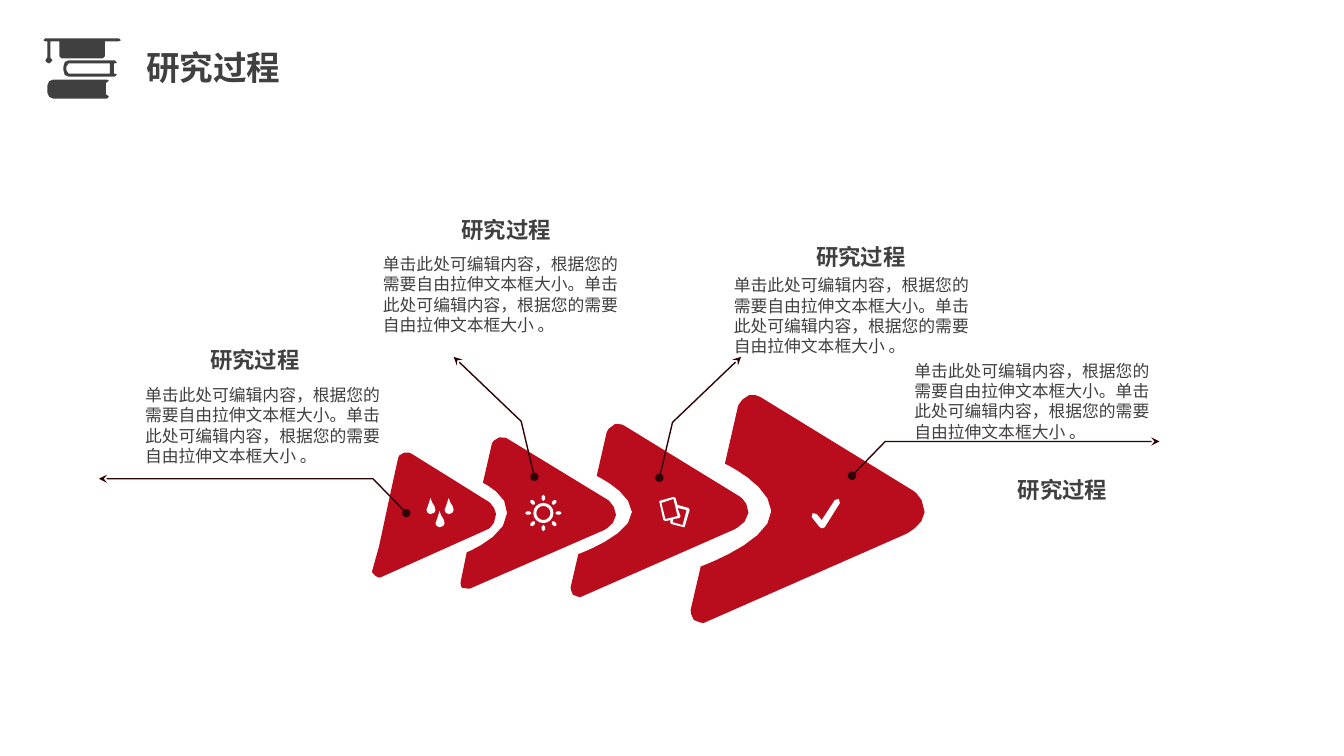
from dataclasses import dataclass
from math import cos, dist, pi, sin, sqrt

from lxml import etree
from pptx import Presentation
from pptx.dml.color import RGBColor
from pptx.enum.text import MSO_AUTO_SIZE, PP_ALIGN
from pptx.oxml.ns import qn
from pptx.util import Inches, Pt

LEFT, CENTER = PP_ALIGN.LEFT, PP_ALIGN.CENTER
GROW = MSO_AUTO_SIZE.SHAPE_TO_FIT_TEXT


@dataclass(frozen=True)
class Theme:
    font: str = "Noto Sans CJK SC"
    ink: str = "404040"
    red: str = "B90D1E"
    leader: str = "2D0307"
    white: str = "FFFFFF"
    title_size: int = 24
    heading_size: int = 16
    body_size: int = 12
    leading: float = 1.2


HEADING = "研究过程"
BODY = "单击此处可编辑内容，根据您的需要自由拉伸文本框大小。" * 2
BODY = BODY[:-1] + " 。"

# Outlines: M starts a contour, L is a line, C is a cubic curve.
CHEVRON = """M 2.32 1.18 C 2.32 1.31 2.13 1.4 2.13 1.4 L .13 2.28 C .13 2.28 .07 2.28 .03 2.25
    C 0 2.22 0 2.15 0 2.15 L .1 1.72 C .1 1.72 .8 1.47 .8 1.17 C .79 .91 .34 .7 .34 .7
    L .47 .13 C .47 .13 .5 .05 .58 .02 C .64 0 .71 .05 .71 .05 L 2.21 .97
    C 2.21 .97 2.32 1.04 2.32 1.18"""
SMALL_CHEVRON = """M 6.11 5.11 C 6.11 5.2 5.99 5.26 5.99 5.26 L 4.66 5.84
    C 4.66 5.84 4.61 5.84 4.58 5.83 C 4.56 5.81 4.57 5.77 4.57 5.77 L 4.63 5.48
    C 4.63 5.48 5.03 5.32 5.03 5.09 C 5.05 4.91 4.79 4.79 4.79 4.79 L 4.88 4.4
    C 4.88 4.4 4.9 4.35 4.95 4.34 C 5 4.33 5.03 4.35 5.03 4.35 L 6.03 4.96
    C 6.03 4.96 6.11 5.02 6.11 5.11"""
FIRST_ARROW = """M 3.88 4.86 L 3.95 4.54 C 3.95 4.54 3.96 4.5 4.01 4.49
    C 4.05 4.48 4.08 4.5 4.08 4.5 L 4.85 4.98 C 4.85 4.98 4.92 5.04 4.92 5.1
    C 4.92 5.21 4.84 5.25 4.84 5.25 L 3.77 5.73 C 3.77 5.73 3.73 5.73 3.72 5.71
    C 3.69 5.69 3.69 5.67 3.69 5.67 L 3.76 5.42"""
DROP = """M 0 0 C 0 .06 -.04 .07 -.04 .12 C -.04 .14 -.02 .16 0 .16
    C .03 .16 .05 .14 .05 .12 C .05 .07 .01 .06 0 0"""
CARDS = """M 6.83 5.04 L 6.72 5.01 L 6.7 4.94 L 6.68 4.93 L 6.54 4.97 L 6.54 4.98 L 6.58 5.16
    L 6.6 5.17 L 6.65 5.16 L 6.65 5.19 L 6.66 5.2 L 6.78 5.23 L 6.79 5.23 L 6.84 5.06
    M 6.56 4.99 L 6.68 4.95 L 6.72 5.12 L 6.6 5.15
    M 6.77 5.21 L 6.67 5.18 L 6.68 5.15 L 6.74 5.14 L 6.75 5.12 L 6.72 5.04 L 6.81 5.06"""
CHECK = """M 8.15 5.24 L 8.13 5.23 L 8.05 5.13
    C 8.04 5.12 8.05 5.1 8.06 5.09 C 8.07 5.08 8.09 5.08 8.1 5.1 L 8.15 5.16 L 8.28 4.96
    C 8.29 4.95 8.3 4.94 8.32 4.95 C 8.33 4.96 8.34 4.98 8.33 4.99 L 8.18 5.23 L 8.16 5.24"""
BOOKS = """M 1.08 .96 L 1.06 .98 L .53 .98 C .5 .98 .47 .95 .47 .92 L .47 .85
    C .47 .81 .5 .79 .53 .79 L 1.06 .79 L 1.08 .8 L 1.06 .82 L 1.05 .82 L 1.05 .94 L 1.06 .94
    M 1.16 .74 L 1.14 .76 L .68 .76 C .65 .76 .63 .74 .63 .7 L .63 .66
    C .63 .62 .65 .6 .68 .6 L 1.14 .6 L 1.16 .62 L 1.14 .63 L 1.13 .63 L 1.13 .73 L 1.14 .73
    M .68 .73 L 1.09 .73 L 1.09 .63 L .68 .63 L .66 .66 L .66 .7 """
CAP = """M 1.18 .38 L .45 .38 L .43 .4 L .45 .41 L .47 .41 L .47 .57 L .45 .6
    C .45 .61 .47 .63 .49 .63 C .5 .63 .52 .61 .52 .6 L .5 .57 L .5 .41 L .59 .41 L .59 .56
    L .61 .58 L 1.02 .58 L 1.04 .56 L 1.04 .41 L 1.18 .41 L 1.2 .4"""


def trace(outline, left=0, top=0, scale=1):
    """Turn an outline into contours, lists of points in inches."""
    contours = []
    words = iter(outline.split())

    def next_point():
        return left + scale * float(next(words)), top + scale * float(next(words))

    for command in words:
        if command == "M":
            contours.append([next_point()])
        elif command == "L":
            contours[-1].append(next_point())
        else:
            controls = [contours[-1][-1]] + [next_point() for _ in range(3)]
            steps = max(1, round(7 * sqrt(dist(controls[0], controls[3]))))
            for step in range(1, steps + 1):
                t = step / steps
                weights = ((1 - t) ** 3, 3 * t * (1 - t) ** 2, 3 * t * t * (1 - t), t ** 3)
                contours[-1].append(tuple(
                    sum(w * c[axis] for w, c in zip(weights, controls)) for axis in (0, 1)))
    return contours


def ellipse(x, y, long_radius, short_radius, turn=0, sides=16):
    points = []
    for step in range(sides):
        angle = step * 2 * pi / sides
        along, across = long_radius * cos(angle), short_radius * sin(angle)
        points.append((x + along * cos(turn) - across * sin(turn),
                       y + along * sin(turn) + across * cos(turn)))
    return points


def sun(x, y):
    """Contours of a ring with eight oval rays."""
    rays = [ellipse(x + .15 * cos(turn), y + .15 * sin(turn), .03, .02, turn, 6)
            for turn in (step * pi / 4 for step in range(8))]
    return [ellipse(x, y, .1, .1), ellipse(x, y, .07, .07)] + rays


class SlidePainter:
    def __init__(self, page, theme):
        self.page, self.theme = page, theme

    def freeform(self, contours, close):
        builder = None
        for contour in contours:
            start, *rest = [(Inches(x), Inches(y)) for x, y in contour]
            if builder is None:
                builder = self.page.shapes.build_freeform(*start)
            else:
                builder.move_to(*start)
            builder.add_line_segments(rest, close=close)
        shape = builder.convert_to_shape()
        shape.shadow.inherit = False
        return shape

    def solid(self, contours, color):
        shape = self.freeform(contours, True)
        shape.fill.solid()
        shape.fill.fore_color.rgb = RGBColor.from_string(color)
        shape.line.fill.background()

    def leader(self, points):
        """Bent line with a dot at its start and an arrowhead at its end."""
        shape = self.freeform([points], False)
        shape.fill.background()
        shape.line.color.rgb = RGBColor.from_string(self.theme.leader)
        shape.line.width = Pt(1)
        outline = shape._element.spPr.find(qn("a:ln"))
        for tag, kind in (("a:headEnd", "oval"), ("a:tailEnd", "stealth")):
            etree.SubElement(outline, qn(tag)).set("type", kind)

    def text(self, words, place, size, bold=False, align=LEFT, margins=(.1, .05)):
        box = self.page.shapes.add_textbox(*map(Inches, place))
        across, down = map(Inches, margins)
        para = box.text_frame.paragraphs[0]
        span = para.add_run()
        span.text = words
        formats = (
            (box.text_frame, {"word_wrap": True, "auto_size": GROW,
                              "margin_left": across, "margin_right": across,
                              "margin_top": down, "margin_bottom": down}),
            (para, {"alignment": align, "line_spacing": Pt(size * self.theme.leading)}),
            (span.font, {"name": self.theme.font, "size": Pt(size), "bold": bold}),
        )
        for target, values in formats:
            for name, value in values.items():
                setattr(target, name, value)
        span.font.color.rgb = RGBColor.from_string(self.theme.ink)
        east_asian = etree.SubElement(span._r.get_or_add_rPr(), qn("a:ea"))
        east_asian.set("typeface", self.theme.font)


def main():
    deck = Presentation()
    deck.slide_width, deck.slide_height = Inches(13.33), Inches(7.5)
    theme = Theme()
    painter = SlidePainter(deck.slides.add_slide(deck.slide_layouts[6]), theme)

    for arrow in (trace(CHEVRON, 6.85, 3.9), trace(CHEVRON, 5.66, 4.19, .76),
                  trace(SMALL_CHEVRON), trace(FIRST_ARROW)):
        painter.solid(arrow, theme.red)

    for points in ([(8.45, 4.72), (8.78, 4.38), (11.5, 4.38)],
                   [(4.03, 5.09), (3.7, 4.75), (.98, 4.75)],
                   [(6.54, 4.74), (6.67, 4.19), (7.35, 3.54)],
                   [(5.3, 4.73), (5.17, 4.18), (4.5, 3.54)]):
        painter.leader(points)

    drops = [contour for x, y in ((4.27, 4.94), (4.45, 4.94), (4.36, 5.07))
             for contour in trace(DROP, x, y)]
    for icon in (drops, sun(5.39, 5.09), trace(CARDS), trace(CHECK)):
        painter.solid(icon, theme.white)

    painter.solid(trace(BOOKS + CAP), theme.ink)
    painter.text(HEADING, (1.35, .42, 2.48, .5), theme.title_size, bold=True)

    stages = (((1.46, 3.43), (1.34, 3.77)), ((3.95, 2.14), (3.7, 2.47)),
              ((7.47, 2.41), (7.18, 2.68)), ((9.47, 4.72), (8.97, 3.53)))
    for heading_corner, body_corner in stages:
        painter.text(HEADING, (*heading_corner, 2.14, .27), theme.heading_size,
                     bold=True, align=CENTER, margins=(0, 0))
        painter.text(BODY, (*body_corner, 2.54, .91), theme.body_size)

    deck.save("out.pptx")


if __name__ == "__main__":
    main()
